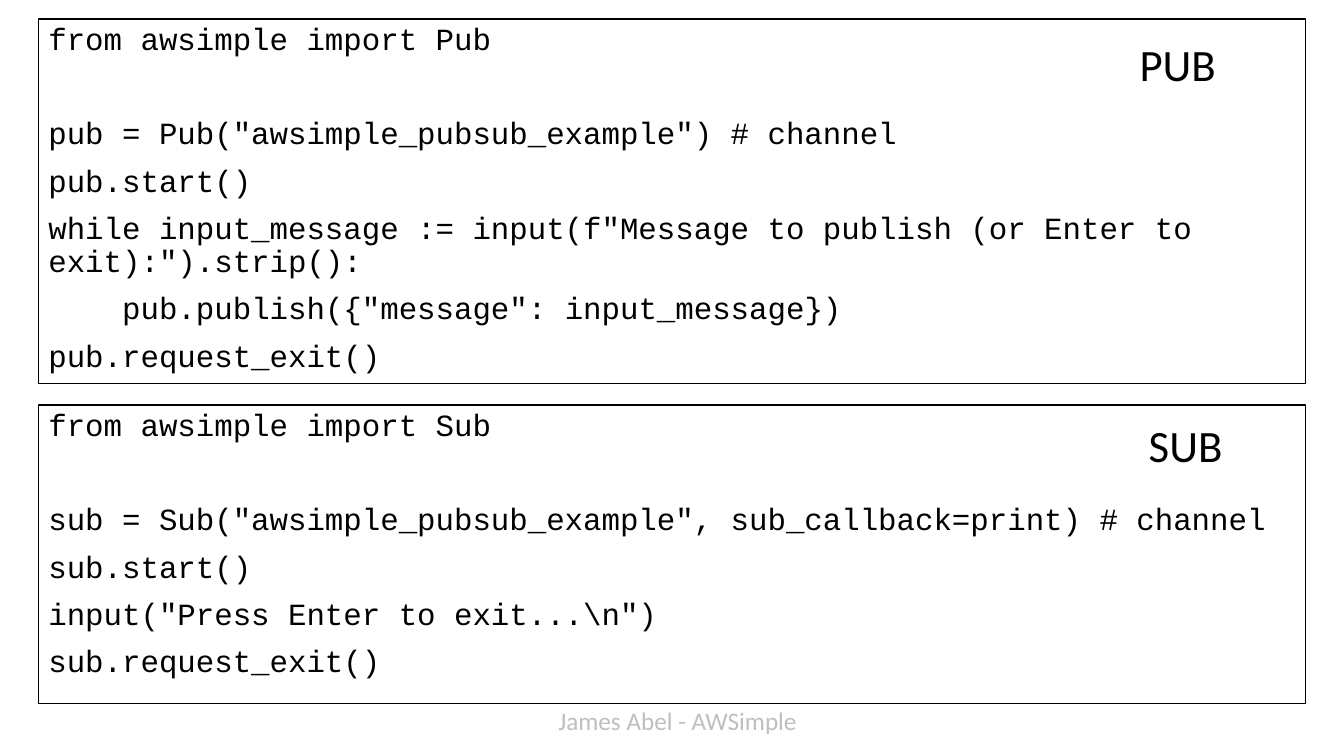
from pptx import Presentation
from pptx.dml.color import RGBColor
from pptx.enum import shapes, text
from pptx.util import Cm, Pt

BLACK = RGBColor(0x00, 0x00, 0x00)
WHITE = RGBColor(0xFF, 0xFF, 0xFF)
GREY = RGBColor(0xBF, 0xBF, 0xBF)

CODE_LEFT, CODE_WIDTH = Cm(0.97), Cm(31.93)
CODE_INDENT = Cm(1.86)  # four characters of 22 pt Courier New
LINE_GAP, BLOCK_GAP = Pt(10), Pt(43.6)

# Each block is a group of lines; a wider gap separates the blocks.
PUB_BLOCKS = [
    ["from awsimple import Pub"],
    [
        'pub = Pub("awsimple_pubsub_example") # channel',
        "pub.start()",
        'while input_message := input(f"Message to publish (or Enter to exit):").strip():',
        '\tpub.publish({"message": input_message})',
        "pub.request_exit()",
    ],
]
SUB_BLOCKS = [
    ["from awsimple import Sub"],
    [
        'sub = Sub("awsimple_pubsub_example", sub_callback=print) # channel',
        "sub.start()",
        r'input("Press Enter to exit...\n")',
        "sub.request_exit()",
    ],
]


def format_runs(paragraph, font_name, size, color):
    for run in paragraph.runs:
        run.font.name = font_name
        run.font.size = Pt(size)
        run.font.color.rgb = color


def add_code_box(slide, top, height, blocks):
    """Add an outlined code listing; a leading tab in a line becomes an indent."""
    box = slide.shapes.add_shape(
        shapes.MSO_SHAPE.RECTANGLE, CODE_LEFT, top, CODE_WIDTH, height)
    box.shadow.inherit = False
    box.fill.background()
    box.line.color.rgb = BLACK
    box.line.width = Pt(1)
    frame = box.text_frame
    frame.word_wrap = True
    frame.vertical_anchor = text.MSO_ANCHOR.TOP

    paragraph = frame.paragraphs[0]
    for block_index, block in enumerate(blocks):
        for line_index, line in enumerate(block):
            if block_index or line_index:
                paragraph = frame.add_paragraph()
            paragraph.text = line.lstrip("\t")
            paragraph.alignment = text.PP_ALIGN.LEFT
            paragraph.line_spacing = 0.9
            starts_block = block_index > 0 and line_index == 0
            paragraph.space_before = BLOCK_GAP if starts_block else LINE_GAP
            if line.startswith("\t"):
                paragraph._p.get_or_add_pPr().set("marL", str(int(CODE_INDENT)))
            format_runs(paragraph, "Courier New", 22, BLACK)


def add_label(slide, left, top, width, height, label, size, color):
    box = slide.shapes.add_textbox(left, top, width, height)
    frame = box.text_frame
    frame.text = label
    frame.word_wrap = False
    frame.auto_size = text.MSO_AUTO_SIZE.SHAPE_TO_FIT_TEXT
    format_runs(frame.paragraphs[0], "Calibri", size, color)
    return box


def main():
    presentation = Presentation()
    presentation.slide_width = Cm(33.87)
    presentation.slide_height = Cm(19.05)
    slide = presentation.slides.add_slide(presentation.slide_layouts[6])

    footer = add_label(slide, Cm(13.82), Cm(17.65), Cm(6.58), Cm(1.02),
                       "James Abel - AWSimple", 18, GREY)
    footer.fill.solid()
    footer.fill.fore_color.rgb = WHITE

    add_code_box(slide, Cm(0.48), Cm(9.19), PUB_BLOCKS)
    add_code_box(slide, Cm(10.21), Cm(7.52), SUB_BLOCKS)
    add_label(slide, Cm(28.47), Cm(0.81), Cm(2.44), Cm(1.63), "PUB", 32, BLACK)
    add_label(slide, Cm(28.7), Cm(10.39), Cm(2.39), Cm(1.63), "SUB", 32, BLACK)

    presentation.save("out.pptx")


if __name__ == "__main__":
    main()
